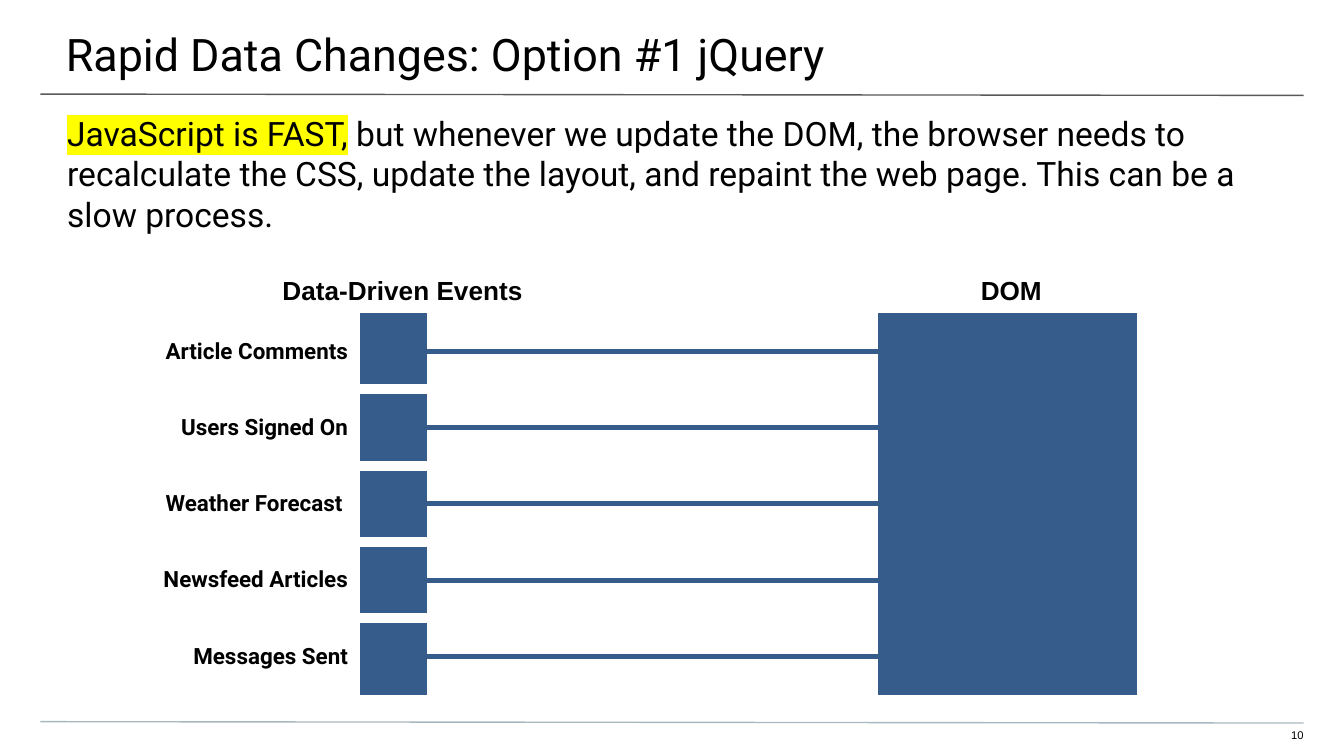
from lxml import etree
from pptx import Presentation
from pptx.dml.color import RGBColor
from pptx.enum.shapes import MSO_CONNECTOR
from pptx.enum.text import MSO_ANCHOR, MSO_AUTO_SIZE, PP_ALIGN
from pptx.oxml.ns import qn
from pptx.util import Inches, Pt

LEFT, CENTER, RIGHT = PP_ALIGN.LEFT, PP_ALIGN.CENTER, PP_ALIGN.RIGHT
TOP, MIDDLE = MSO_ANCHOR.TOP, MSO_ANCHOR.MIDDLE
STRAIGHT = MSO_CONNECTOR.STRAIGHT
NO_AUTOFIT = MSO_AUTO_SIZE.NONE

BLACK, WHITE, BLUE, YELLOW = "000000", "FFFFFF", "365C8B", "FFFF00"
NO_STYLE_NO_GRID = "{2D5ABB26-0587-4C30-8999-92F81FD0307C}"
EVENTS = ["Article Comments", "Users Signed On", "Weather Forecast ",
          "Newsfeed Articles", "Messages Sent"]
COLUMN_WIDTHS = [1.93, 0.5, 3.35, 1.93]
ROW_COUNT = 2 * len(EVENTS)
TABLE_HEIGHT = 2.84


def rgb(value):
    return RGBColor.from_string(value)


def add_run(paragraph, text, size, font, bold=False, highlight=None):
    run = paragraph.add_run()
    run.text = text
    run.font.size = Pt(size)
    run.font.name = font
    run.font.bold = bold
    run.font.color.rgb = rgb(BLACK)
    if highlight:
        mark = etree.Element(qn("a:highlight"))
        etree.SubElement(mark, qn("a:srgbClr")).set("val", highlight)
        run.font._element.find(qn("a:latin")).addprevious(mark)


def set_frame(frame, insets, align=LEFT):
    frame.word_wrap = True
    frame.auto_size = NO_AUTOFIT
    frame.vertical_anchor = TOP
    (frame.margin_left, frame.margin_top,
     frame.margin_right, frame.margin_bottom) = map(Inches, insets)
    paragraph = frame.paragraphs[0]
    paragraph.alignment = align
    return paragraph


def add_text(slide, box, insets, align=LEFT):
    text_box = slide.shapes.add_textbox(*map(Inches, box))
    return set_frame(text_box.text_frame, insets, align)


def add_rule(slide, left, top, width, drop, color):
    rule = slide.shapes.add_connector(
        STRAIGHT, Inches(left), Inches(top), Inches(left + width), Inches(top + drop))
    rule.line.color.rgb = rgb(color)
    rule.line.width = Pt(0.75)
    etree.SubElement(rule._element.spPr, qn("a:effectLst"))


def add_title(slide, box):
    title = slide.shapes.title
    title.left, title.top, title.width, title.height = map(Inches, box)
    paragraph = set_frame(title.text_frame, (0.5, 0.2, 0.3, 0.1))
    add_run(paragraph, "Rapid Data Changes: Option #1 jQuery", 24, "Roboto")


def add_explanation(slide, box):
    paragraph = add_text(slide, box, (0.5, 0.1, 0.5, 0))
    add_run(paragraph, "JavaScript is FAST,", 18, "Roboto", highlight=YELLOW)
    add_run(paragraph, " but whenever we update the DOM, the browser needs to "
            "recalculate the CSS, update the layout, and repaint the web page. "
            "This can be a slow process.", 18, "Roboto")


def add_heading(slide, box, text):
    paragraph = add_text(slide, box, (0.1, 0.1, 0.1, 0.1), CENTER)
    add_run(paragraph, text, 14, "Arial", bold=True)


def add_page_number(slide, box):
    paragraph = add_text(slide, box, (0, 0, 0, 0.1), RIGHT)
    add_run(paragraph, "10", 6, "Arial")


def set_borders(cell, color=None, width=0, sides=""):
    properties = cell._tc.get_or_add_tcPr()
    for position, side in enumerate("LRTB"):
        border = etree.Element(qn(f"a:ln{side}"))
        if side in sides:
            border.set("w", str(Pt(width)))
            fill = etree.SubElement(border, qn("a:solidFill"))
            etree.SubElement(fill, qn("a:srgbClr")).set("val", color)
        else:
            etree.SubElement(border, qn("a:noFill"))
        properties.insert(position, border)


def clear_cell(cell):
    cell.fill.background()
    cell.margin_left = cell.margin_top = cell.margin_right = cell.margin_bottom = 0
    end = cell.text_frame.paragraphs[0]._p.get_or_add_endParaRPr()
    end.set("sz", "600")


def fill_cell(cell, color):
    cell.fill.solid()
    cell.fill.fore_color.rgb = rgb(color)


def add_event_row(table, index, event):
    upper, lower = ([table.cell(row, column) for column in range(3)]
                    for row in (2 * index, 2 * index + 1))
    label, source, link = upper
    label.merge(lower[0])
    source.merge(lower[1])

    label.vertical_anchor = MIDDLE
    label.margin_right = Inches(0.09)
    paragraph = label.text_frame.paragraphs[0]
    paragraph.alignment = RIGHT
    add_run(paragraph, event, 12, "Roboto", bold=True)

    gap_above = "T" if index > 0 else ""
    gap_below = "B" if index < len(EVENTS) - 1 else ""
    fill_cell(source, BLUE)
    set_borders(source, WHITE, 6, gap_above + gap_below)
    set_borders(lower[1], WHITE, 6, gap_below)
    set_borders(link, BLUE, 3, "B")
    set_borders(lower[2], BLUE, 3, "T")
    set_borders(label)
    set_borders(lower[0])


def add_event_table(slide, left, top):
    frame = slide.shapes.add_table(
        ROW_COUNT, len(COLUMN_WIDTHS), Inches(left), Inches(top),
        Inches(sum(COLUMN_WIDTHS)), Inches(TABLE_HEIGHT))
    table = frame.table
    table.first_row = table.horz_banding = False
    table._tbl.tblPr.find(qn("a:tableStyleId")).text = NO_STYLE_NO_GRID
    for column, width in zip(table.columns, COLUMN_WIDTHS):
        column.width = Inches(width)
    for cell in table.iter_cells():
        clear_cell(cell)
    for index, event in enumerate(EVENTS):
        add_event_row(table, index, event)
    dom = table.cell(0, 3)
    dom.merge(table.cell(ROW_COUNT - 1, 3))
    fill_cell(dom, BLUE)
    for row in range(ROW_COUNT):
        set_borders(table.cell(row, 3))


def main():
    presentation = Presentation()
    presentation.slide_width = Inches(10)
    presentation.slide_height = Inches(10 * 9 / 16)
    slide = presentation.slides.add_slide(presentation.slide_layouts[5])
    add_rule(slide, 0.3, 0.7, 9.4, 0.01, "595959")
    add_rule(slide, 0.3, 5.37, 9.4, 0.01, "A9B7C0")
    add_title(slide, (-0.01, 0, 10.03, 0.58))
    add_explanation(slide, (0, 0.74, 10, 0.4))
    add_heading(slide, (1.95, 1.94, 2.09, 0.4), "Data-Driven Events")
    add_heading(slide, (6.54, 1.94, 1.97, 0.4), "DOM")
    add_event_table(slide, 0.75, 2.33)
    add_page_number(slide, (9.41, 5.42, 0.29, 0.12))
    presentation.save("out.pptx")


if __name__ == "__main__":
    main()
